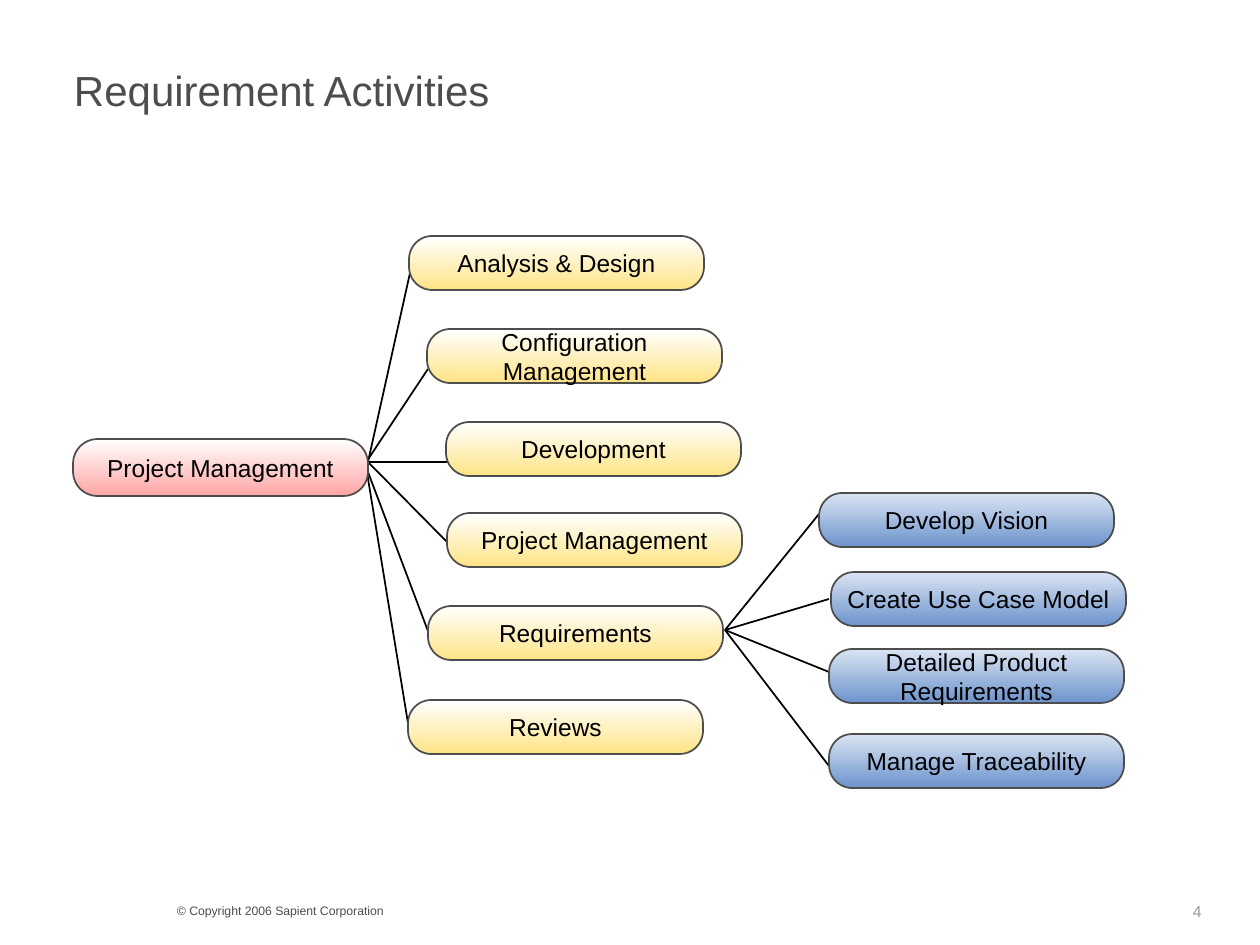
import pptx
import pptx.dml.color
import pptx.enum.shapes
import pptx.enum.text
import pptx.oxml.ns
import pptx.util
from lxml import etree

PX = 914400 / 126
COLORS = {
    "ink": "000000", "grey": "4D4D4D", "pale": "999999",
    "white": "FFFFFF", "red": "FFA5A5", "yellow": "FEE486",
    "light blue": "DAE4F2", "blue": "6D94CD",
}
RGB = {name: pptx.dml.color.RGBColor.from_string(code) for name, code in COLORS.items()}
ALIGN = pptx.enum.text.PP_ALIGN
ANCHOR = pptx.enum.text.MSO_ANCHOR


def emu(*lengths):
    return [round(length * PX) for length in lengths]


def write(shape, text, size, color, align, anchor, side, edge):
    frame = shape.text_frame
    side, edge = emu(side, edge)
    frame_format = {
        "word_wrap": True, "vertical_anchor": anchor,
        "margin_left": side, "margin_right": side,
        "margin_top": edge, "margin_bottom": edge,
    }
    for name, value in frame_format.items():
        setattr(frame, name, value)
    line = frame.paragraphs[0]
    line.text = text
    line.alignment = align
    for name, value in {"name": "Arial", "size": pptx.util.Pt(size)}.items():
        setattr(line.font, name, value)
    line.font.color.rgb = RGB[color]


deck = pptx.Presentation()
deck.slide_width, deck.slide_height = emu(1260, 945)
slide = deck.slides.add_slide(deck.slide_layouts[6])

# Title, copyright line and page number
captions = [
    ("Requirement Activities", (62, 55, 1135, 69), 24, "grey", ANCHOR.MIDDLE),
    ("© Copyright 2006 Sapient Corporation", (165, 897, 504, 28), 7, "grey", ANCHOR.TOP),
    ("4", (1181, 896, 79, 30), 9, "pale", ANCHOR.MIDDLE),
]
for text, place, size, color, anchor in captions:
    caption = slide.shapes.add_textbox(*emu(*place))
    write(caption, text, size, color, ALIGN.LEFT, anchor, 12, 6)

# Activity boxes: fill from top to bottom, height, side margin, then text, left and top
levels = [
    ("white", "red", 57, 12, [("Project Management", 73, 439)]),
    ("white", "yellow", 54, 0, [
        ("Analysis & Design", 409, 236),
        ("Configuration Management", 427, 329),
        ("Development", 446, 422),
        ("Project Management", 447, 513),
        ("Requirements", 428, 606),
        ("Reviews", 408, 700),
    ]),
    ("light blue", "blue", 54, 0, [
        ("Develop Vision", 819, 493),
        ("Create Use Case Model", 831, 572),
        ("Detailed Product Requirements", 829, 649),
        ("Manage Traceability", 829, 734),
    ]),
]
for top_color, bottom_color, height, side, activities in levels:
    for text, left, top in activities:
        activity = slide.shapes.add_shape(
            pptx.enum.shapes.MSO_SHAPE.ROUNDED_RECTANGLE, *emu(left, top, 295, height))
        activity.adjustments[0] = 0.43
        activity.shadow.inherit = False
        activity.fill.gradient()
        activity.fill.gradient_angle = 270
        for stop, color in zip(activity.fill.gradient_stops, (top_color, bottom_color)):
            stop.color.rgb = RGB[color]
        activity.line.color.rgb = RGB["grey"]
        activity.line.width = pptx.util.Pt(1)
        write(activity, text, 14, "ink", ALIGN.CENTER, ANCHOR.MIDDLE, side, 6)

# Branches from a parent box to its activities
branches = [
    ((368, 462), [(410, 273), (462, 462), (451, 546)]),
    ((365, 464), [(428, 369), (428, 631)]),
    ((365, 460), [(408, 723)]),
    ((725, 630), [(819, 514), (829, 599), (829, 672), (829, 766)]),
]
for start, ends in branches:
    for end in ends:
        branch = slide.shapes.add_connector(
            pptx.enum.shapes.MSO_CONNECTOR.STRAIGHT, *emu(*start, *end))
        branch.line.color.rgb = RGB["ink"]
        branch.line.width = pptx.util.Pt(1)
        etree.SubElement(branch._element.spPr, pptx.oxml.ns.qn("a:effectLst"))
        # Branches lie behind the boxes
        slide.shapes._spTree.insert(2, branch._element)

deck.save("out.pptx")
